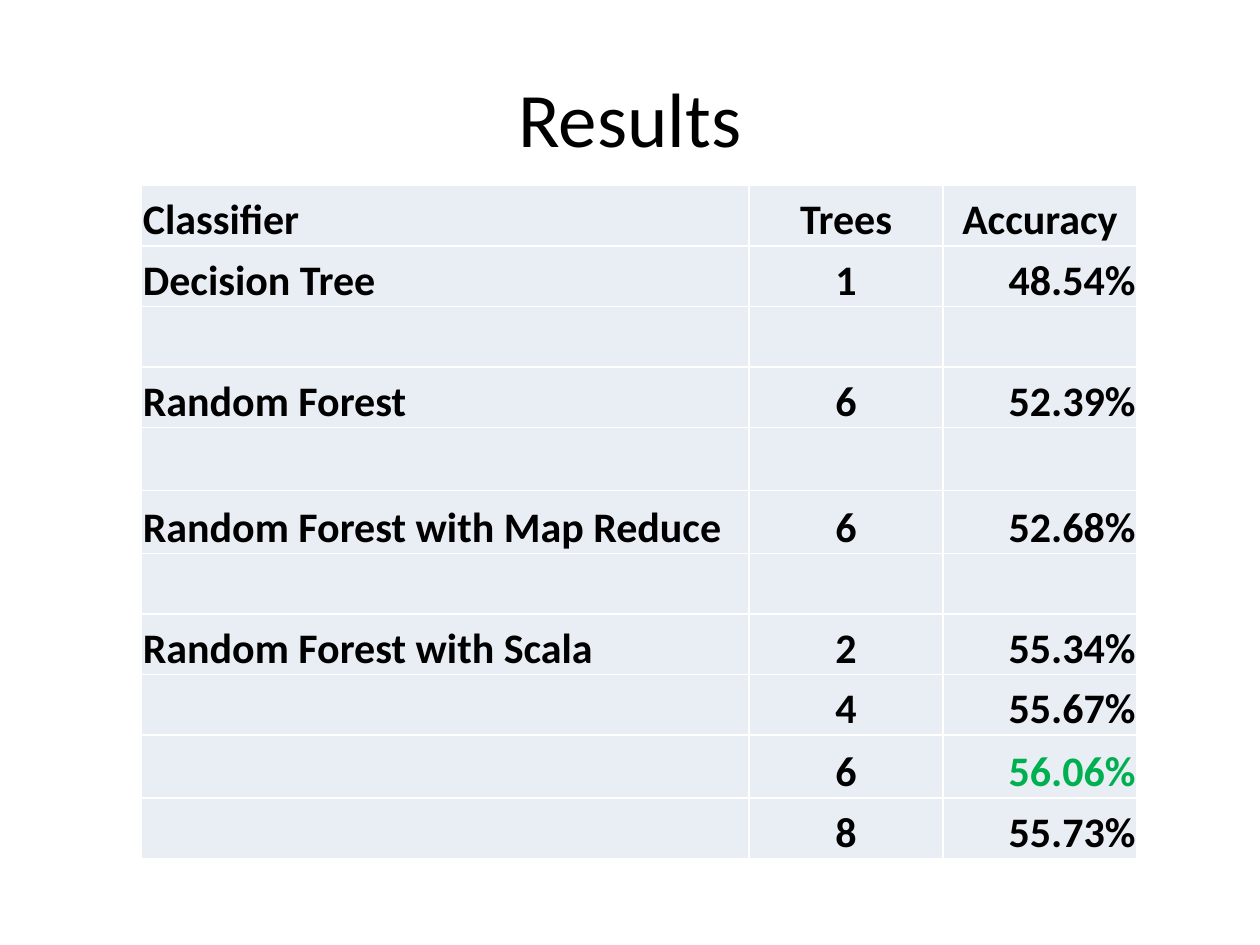
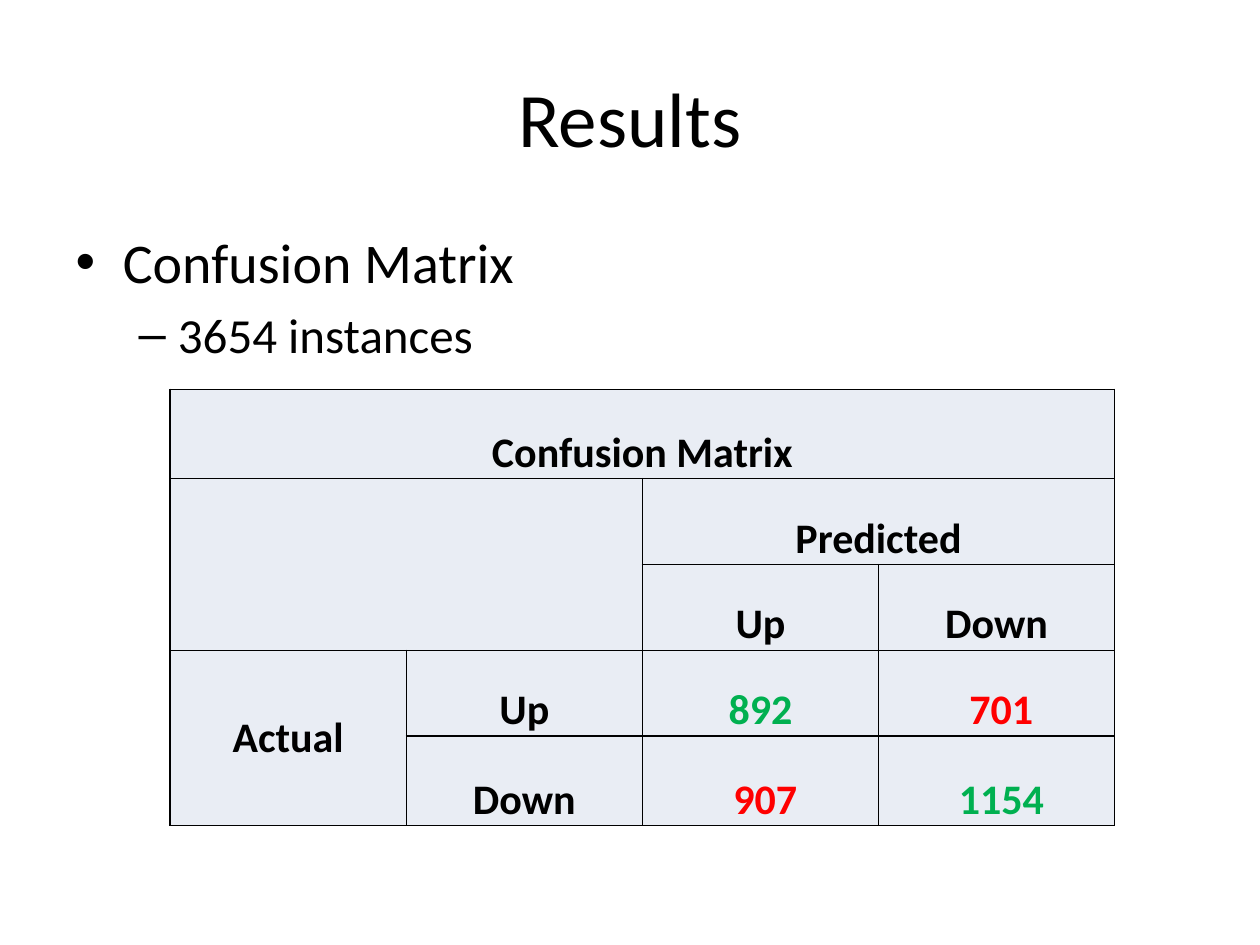
from lxml.etree import SubElement
from pptx import Presentation
from pptx.dml.color import RGBColor
from pptx.enum.text import MSO_ANCHOR, PP_ALIGN
from pptx.oxml.ns import qn
from pptx.util import Cm, Pt

FONT = "Calibri"
BLACK, WHITE, GREEN, RED, PALE = "000000", "FFFFFF", "00B050", "FF0000", "E9EDF4"
LEFT, CENTER, RIGHT = PP_ALIGN.LEFT, PP_ALIGN.CENTER, PP_ALIGN.RIGHT

TITLE = "Results"
ACCURACY_ROWS = [
    ("Classifier", "Trees", "Accuracy"),
    ("Decision Tree", "1", "48.54%"),
    ("", "", ""),
    ("Random Forest", "6", "52.39%"),
    ("", "", ""),
    ("Random Forest with Map Reduce", "6", "52.68%"),
    ("", "", ""),
    ("Random Forest with Scala", "2", "55.34%"),
    ("", "4", "55.67%"),
    ("", "6", "56.06%"),
    ("", "8", "55.73%"),
]
BEST_ACCURACY = "56.06%"
TALL_ROWS = (4, 5, 9)

BULLETS = [("Confusion Matrix", 0, 32), ("3654 instances", 1, 28)]
MATRIX_ROWS = [
    ("Confusion Matrix", "", "", ""),
    ("", "", "Predicted", ""),
    ("", "", "Up", "Down"),
    ("Actual", "Up", "892", " 701"),
    ("", "Down", " 907", " 1154"),
]
MATRIX_MERGES = [((0, 0), (0, 3)), ((1, 0), (2, 1)), ((1, 2), (1, 3)), ((3, 0), (4, 0))]
MATRIX_COLORS = {(3, 2): GREEN, (3, 3): RED, (4, 2): RED, (4, 3): GREEN}


def color(hex_text):
    return RGBColor.from_string(hex_text)


def write(para, text, size, ink=BLACK, bold=False, align=None):
    para.alignment = align
    span = para.add_run()
    span.text = text
    span.font.name = FONT
    span.font.size = Pt(size)
    span.font.bold = bold
    span.font.color.rgb = color(ink)


def set_borders(cell, hex_text):
    properties = cell._tc.get_or_add_tcPr()
    for side in ("lnL", "lnR", "lnT", "lnB"):
        line = SubElement(properties, qn(f"a:{side}"), w=str(Pt(1)))
        fill = SubElement(line, qn("a:solidFill"))
        SubElement(fill, qn("a:srgbClr"), val=hex_text)


def add_grid(page, rows, left, top, widths, heights, border, align_of, ink_of):
    """Add a table; align_of and ink_of take (row, column) and give a cell's format."""
    frame = page.shapes.add_table(len(rows), len(widths), Cm(left), Cm(top),
                                  Cm(sum(widths)), Cm(sum(heights)))
    table = frame.table
    table.first_row = table.horz_banding = False
    for column, width in zip(table.columns, widths):
        column.width = Cm(width)
    for row, height in zip(table.rows, heights):
        row.height = Cm(height)
    for r, texts in enumerate(rows):
        for c, text in enumerate(texts):
            cell = table.cell(r, c)
            set_borders(cell, border)
            cell.fill.solid()
            cell.fill.fore_color.rgb = color(PALE)
            cell.margin_left = cell.margin_right = cell.margin_top = Cm(0.03)
            cell.margin_bottom = 0
            cell.vertical_anchor = MSO_ANCHOR.BOTTOM
            if text:
                write(cell.text_frame.paragraphs[0], text, 24, ink=ink_of(r, c),
                      bold=True, align=align_of(r, c))
    return table


def add_page(deck, layout_index):
    page = deck.slides.add_slide(deck.slide_layouts[layout_index])
    title = page.shapes.title
    title.left, title.top, title.width, title.height = Cm(1.27), Cm(0.76), Cm(22.86), Cm(3.18)
    write(title.text_frame.paragraphs[0], TITLE, 44, align=CENTER)
    return page


def add_accuracy_page(deck):
    page = add_page(deck, 5)
    heights = [1.27 if r in TALL_ROWS else 1.22 for r in range(len(ACCURACY_ROWS))]
    add_grid(
        page, ACCURACY_ROWS, 2.85, 3.74, [12.25, 3.91, 3.91], heights, WHITE,
        align_of=lambda r, c: CENTER if (r, c) == (0, 2) else (LEFT, CENTER, RIGHT)[c],
        ink_of=lambda r, c: GREEN if ACCURACY_ROWS[r][c] == BEST_ACCURACY else BLACK)


def add_matrix_page(deck):
    page = add_page(deck, 1)
    body = page.placeholders[1]
    body.left, body.top, body.width, body.height = Cm(1.27), Cm(4.45), Cm(22.86), Cm(14.1)
    frame = body.text_frame
    for i, (text, level, size) in enumerate(BULLETS):
        para = frame.add_paragraph() if i else frame.paragraphs[0]
        para.level = level
        write(para, text, size)
    table = add_grid(
        page, MATRIX_ROWS, 3.43, 7.85, [4.76] * 4, [1.8, 1.73, 1.73, 1.73, 1.8], BLACK,
        align_of=lambda r, c: CENTER,
        ink_of=lambda r, c: MATRIX_COLORS.get((r, c), BLACK))
    for first, last in MATRIX_MERGES:
        table.cell(*first).merge(table.cell(*last))
    table.cell(3, 0).vertical_anchor = MSO_ANCHOR.MIDDLE


def main():
    deck = Presentation()
    deck.slide_width, deck.slide_height = Cm(25.4), Cm(19.05)
    add_accuracy_page(deck)
    add_matrix_page(deck)
    deck.save("out.pptx")


if __name__ == "__main__":
    main()
